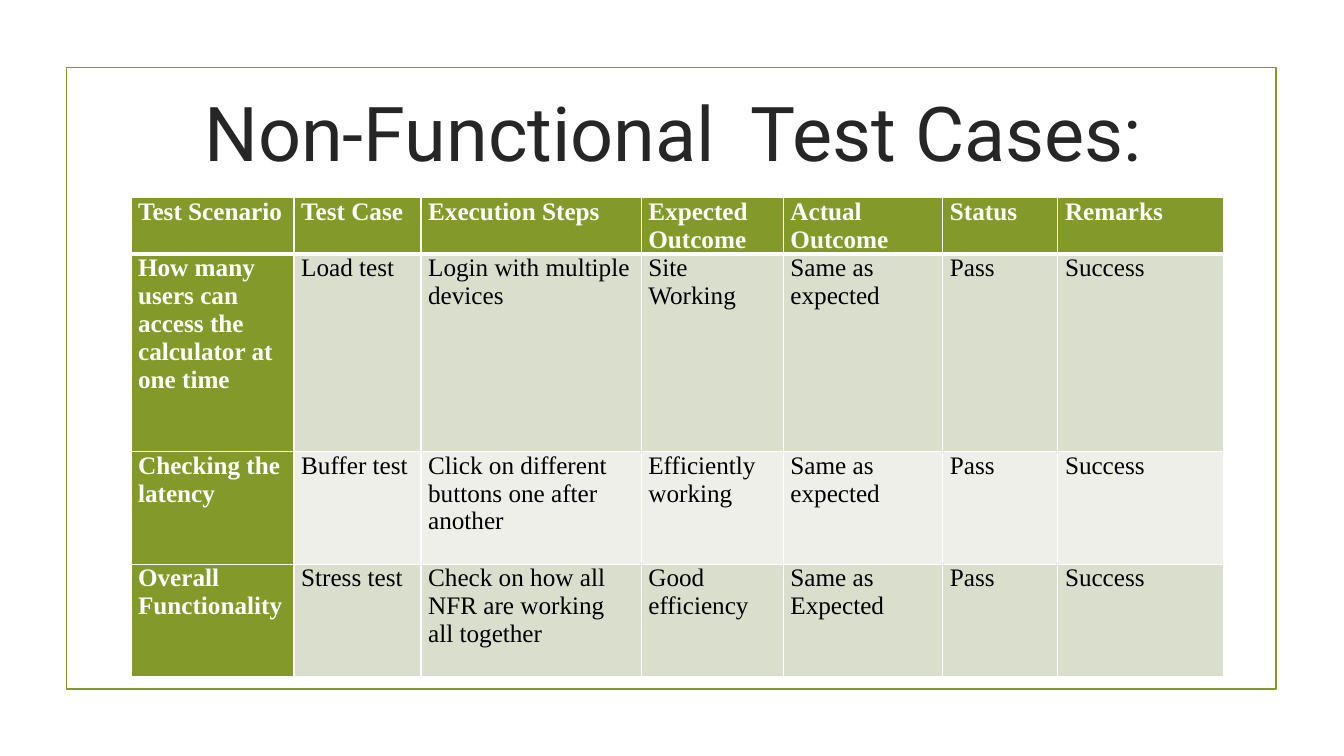
"""Build a slide with a table of non-functional test cases."""
from dataclasses import astuple, dataclass

from lxml.etree import SubElement
from pptx import Presentation
from pptx.dml.color import RGBColor
from pptx.enum.shapes import MSO_SHAPE
from pptx.enum.text import MSO_ANCHOR, MSO_AUTO_SIZE, PP_ALIGN
from pptx.oxml.ns import qn
from pptx.slide import Slide
from pptx.table import _Cell
from pptx.text.text import TextFrame
from pptx.util import Cm, Pt

GREEN = RGBColor(0x83, 0x99, 0x2A)
DARK_BAND = RGBColor(0xD9, 0xDE, 0xCD)
LIGHT_BAND = RGBColor(0xED, 0xEF, 0xE8)
WHITE = RGBColor(0xFF, 0xFF, 0xFF)
BLACK = RGBColor(0x00, 0x00, 0x00)
CHARCOAL = RGBColor(0x26, 0x26, 0x26)


@dataclass(frozen=True)
class TestCase:
    scenario: str
    case: str
    steps: str
    expected: str
    actual: str
    status: str
    remarks: str


HEADINGS = TestCase("Test Scenario", "Test Case", "Execution Steps", "Expected Outcome",
                    "Actual Outcome", "Status", "Remarks")
TEST_CASES = [
    TestCase("How many users can access the calculator at one time", "Load test",
             "Login with multiple devices", "Site Working", "Same as expected", "Pass", "Success"),
    TestCase("Checking the latency", "Buffer test", "Click on different buttons one after another",
             "Efficiently working", "Same as expected", "Pass", "Success"),
    TestCase("Overall Functionality", "Stress test", "Check on how all NFR are working  all together",
             "Good efficiency", "Same as Expected", "Pass", "Success"),
]
COLUMN_WIDTHS = [4.11, 3.2, 5.55, 3.58, 4.02, 2.9, 4.17]
ROW_HEIGHTS = [1.42, 4.98, 2.84, 2.84]


def write_text(frame: TextFrame, text: str, *, font: str, size: float, color: RGBColor,
               bold: bool = False, align: PP_ALIGN = PP_ALIGN.LEFT,
               anchor: MSO_ANCHOR = MSO_ANCHOR.TOP) -> None:
    frame.word_wrap = True
    frame.vertical_anchor = anchor
    para = frame.paragraphs[0]
    para.alignment = align
    span = para.add_run()
    span.text = text
    span.font.name = font
    span.font.size = Pt(size)
    span.font.bold = bold
    span.font.color.rgb = color


def draw_frame(page: Slide) -> None:
    box = page.shapes.add_shape(MSO_SHAPE.RECTANGLE, Cm(1.68), Cm(1.7), Cm(30.48), Cm(15.67))
    box.shadow.inherit = False
    box.fill.background()
    box.line.color.rgb = GREEN
    box.line.width = Pt(1.25)


def draw_title(page: Slide) -> None:
    box = page.shapes.title
    box.left, box.top, box.width, box.height = Cm(1.42), Cm(1.73), Cm(31.09), Cm(3.15)
    box.text_frame.auto_size = MSO_AUTO_SIZE.NONE
    write_text(box.text_frame, "Non-Functional  Test Cases:", font="Roboto", size=54,
               color=CHARCOAL, align=PP_ALIGN.CENTER, anchor=MSO_ANCHOR.MIDDLE)


def set_borders(cell: _Cell, *, top: float, bottom: float) -> None:
    properties = cell._tc.get_or_add_tcPr()
    for side, width in (("L", 1), ("R", 1), ("T", top), ("B", bottom)):
        line = SubElement(properties, qn(f"a:ln{side}"), w=str(Pt(width)))
        fill = SubElement(line, qn("a:solidFill"))
        SubElement(fill, qn("a:srgbClr"), val=str(WHITE))


def draw_cell(cell: _Cell, text: str, row: int, column: int) -> None:
    heading = row == 0 or column == 0
    band = DARK_BAND if row % 2 else LIGHT_BAND
    cell.margin_left = cell.margin_right = Cm(0.18)
    cell.margin_top = cell.margin_bottom = 0
    set_borders(cell, top=3 if row == 1 else 1, bottom=3 if row == 0 else 1)
    cell.fill.solid()
    cell.fill.fore_color.rgb = GREEN if heading else band
    cell.vertical_anchor = MSO_ANCHOR.TOP
    write_text(cell.text_frame, text, font="Times New Roman", size=18,
               color=WHITE if heading else BLACK, bold=heading)


def draw_table(page: Slide) -> None:
    table = page.shapes.add_table(len(ROW_HEIGHTS), len(COLUMN_WIDTHS), Cm(3.3), Cm(4.98),
                                  Cm(sum(COLUMN_WIDTHS)), Cm(sum(ROW_HEIGHTS))).table
    table.first_col = True
    for column, width in zip(table.columns, COLUMN_WIDTHS):
        column.width = Cm(width)
    for row, height in zip(table.rows, ROW_HEIGHTS):
        row.height = Cm(height)
    for row_index, test_case in enumerate([HEADINGS, *TEST_CASES]):
        for column_index, text in enumerate(astuple(test_case)):
            draw_cell(table.cell(row_index, column_index), text, row_index, column_index)


def main() -> None:
    deck = Presentation()
    deck.slide_width, deck.slide_height = Cm(33.87), Cm(19.05)
    page = deck.slides.add_slide(deck.slide_layouts[5])
    draw_frame(page)
    draw_title(page)
    draw_table(page)
    deck.save("out.pptx")


if __name__ == "__main__":
    main()
